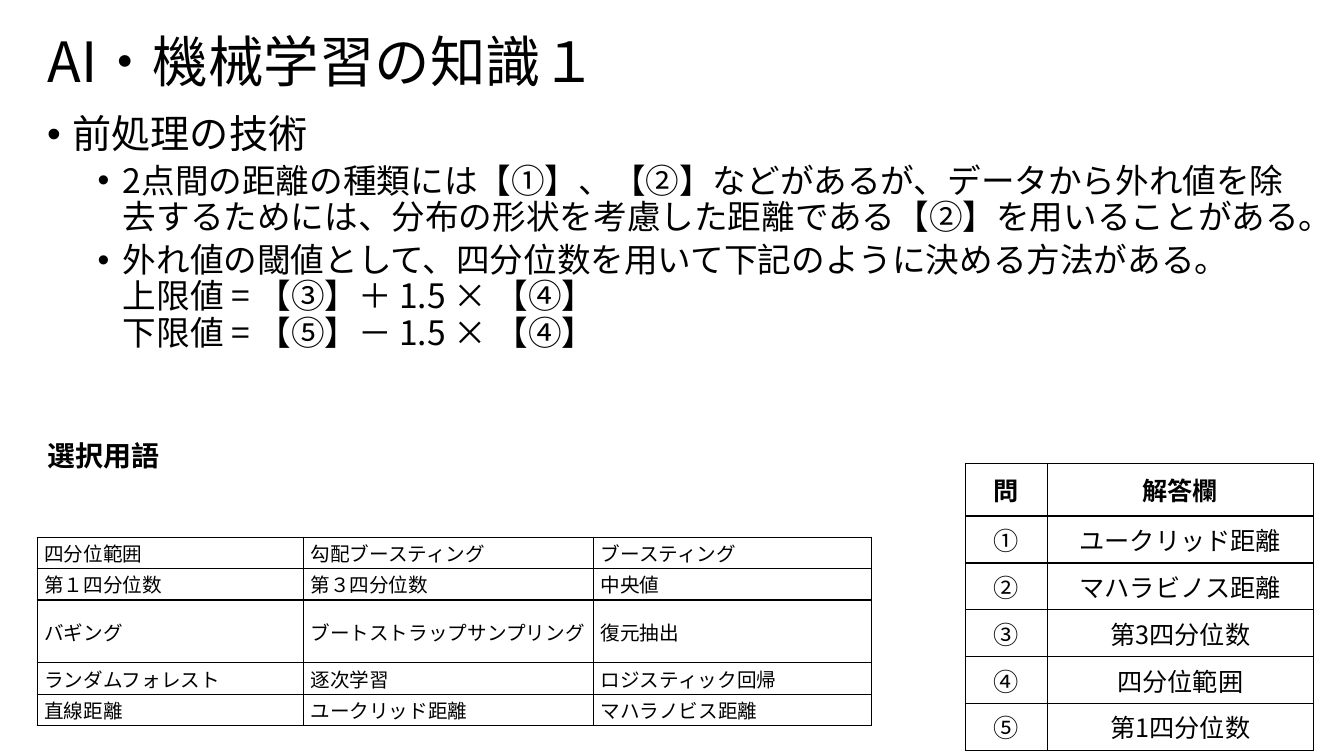
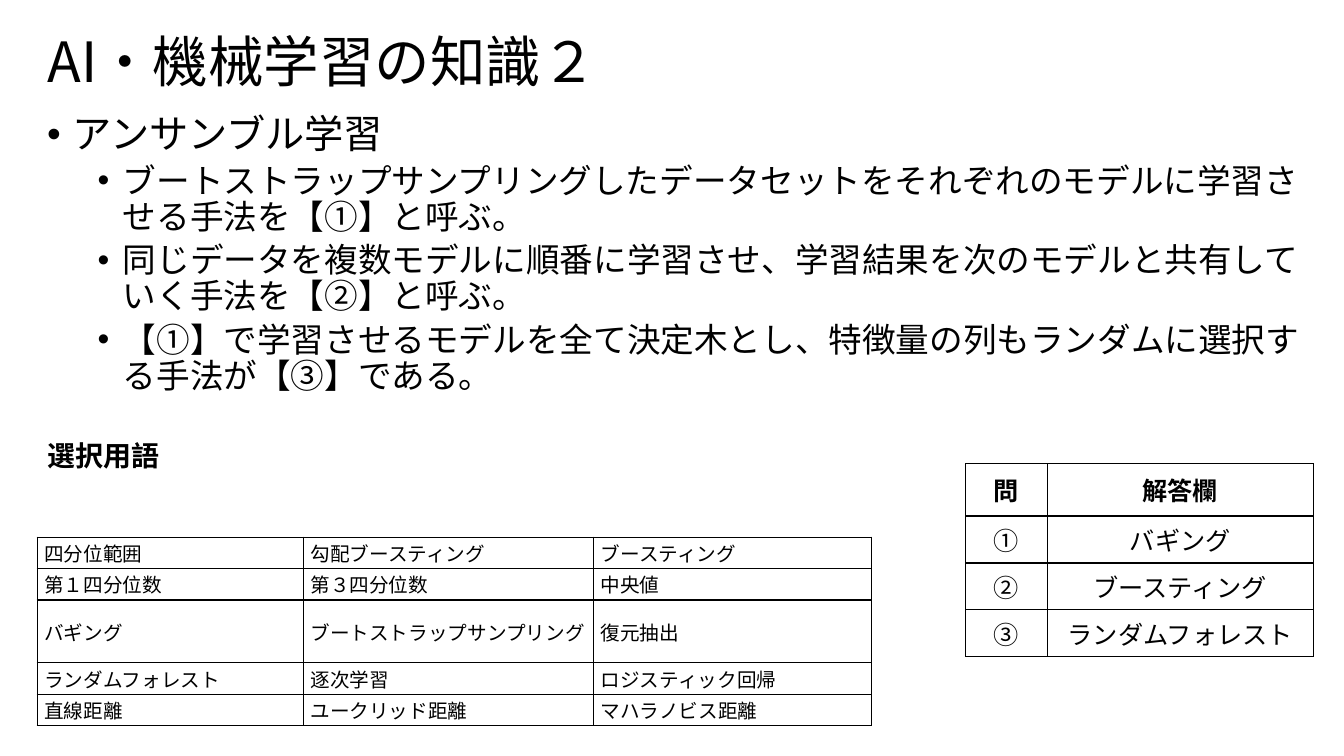
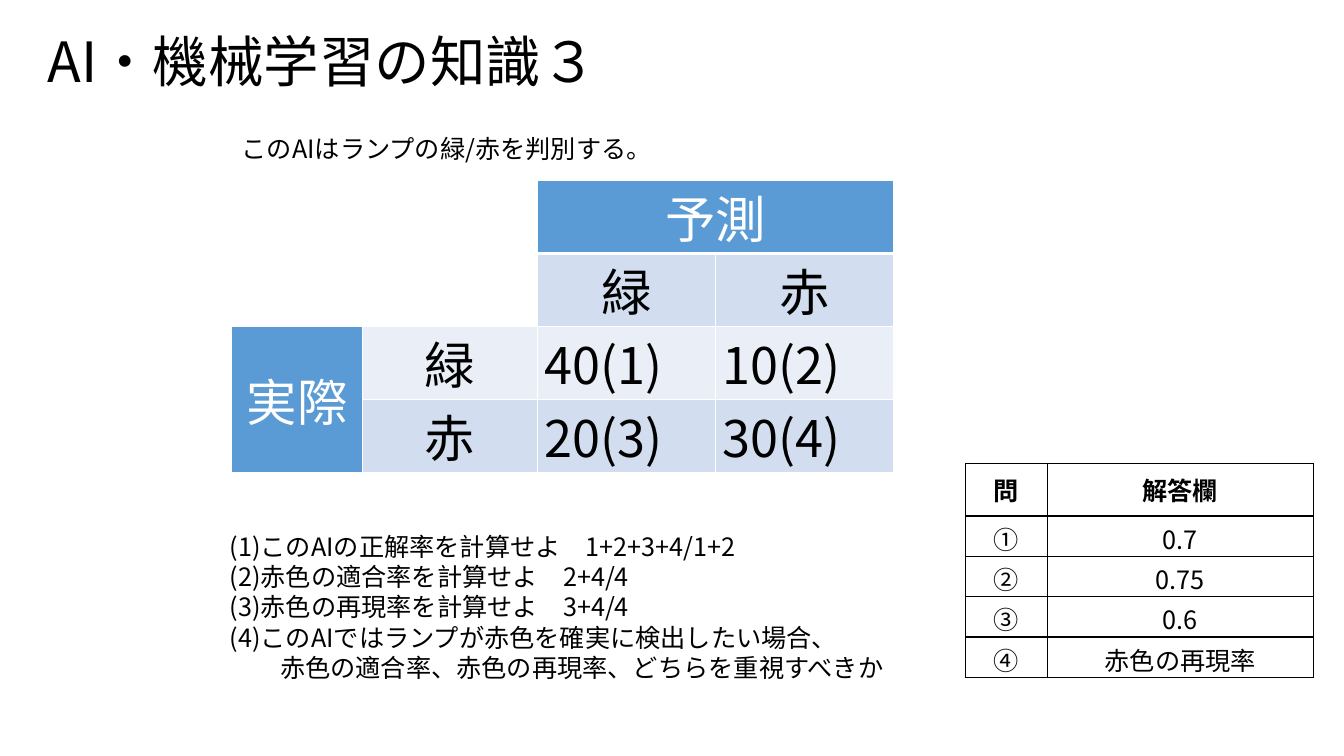
import dataclasses

import lxml.etree
import pptx
import pptx.dml.color
import pptx.enum.text
import pptx.oxml.ns
import pptx.util

ALIGN = pptx.enum.text.PP_ALIGN
ANCHOR = pptx.enum.text.MSO_ANCHOR
AUTO_SIZE = pptx.enum.text.MSO_AUTO_SIZE


@dataclasses.dataclass(frozen=True)
class Theme:
    """Colours, font and type sizes shared by the slides."""
    font: str = "Noto Sans CJK JP"
    ink: str = "000000"
    paper: str = "FFFFFF"
    heading: str = "5B9BD5"
    band: str = "D2DEEF"
    pale_band: str = "EAEFF7"
    title_size: float = 39.6
    matrix_size: float = 36
    topic_size: float = 28
    point_size: float = 24
    label_size: float = 20
    text_size: float = 18
    term_size: float = 14


class Deck:
    """Draws elements on the current slide, on a grid of 160 columns by 90 rows."""

    def __init__(self, theme):
        self.theme = theme
        self.presentation = pptx.Presentation()
        self.presentation.slide_width = pptx.util.Inches(13.33)
        self.presentation.slide_height = pptx.util.Inches(7.5)
        self.slide = None

    def across(self, columns):
        return round(self.presentation.slide_width * columns / 160)

    def down(self, rows):
        return round(self.presentation.slide_height * rows / 90)

    def box(self, left, top, width, height):
        return self.across(left), self.down(top), self.across(width), self.down(height)

    def element(self, parent, tag, **attributes):
        return lxml.etree.SubElement(parent, pptx.oxml.ns.qn(tag), attributes)

    def run(self, paragraph, text, size, color=None, bold=False):
        run = paragraph.add_run()
        run.text = text
        run.font.size = pptx.util.Pt(size)
        run.font.bold = bold
        run.font.name = self.theme.font
        run.font.color.rgb = pptx.dml.color.RGBColor.from_string(color or self.theme.ink)
        self.element(run.font._element, "a:ea", typeface=self.theme.font)

    def paragraph(self, frame, text, size, bold=False, before=0, spacing=1.0):
        paragraph = frame.paragraphs[0]
        if paragraph.runs:
            paragraph = frame.add_paragraph()
        paragraph.alignment = ALIGN.LEFT
        paragraph.line_spacing = spacing
        paragraph.space_before = pptx.util.Pt(before)
        for number, line in enumerate(text.split("\n")):
            if number:
                paragraph.add_line_break()
            self.run(paragraph, line, size, bold=bold)
        return paragraph

    def bullet(self, frame, text, level):
        size = self.theme.point_size if level else self.theme.topic_size
        paragraph = self.paragraph(frame, text, size, before=5 if level else 10, spacing=0.9)
        paragraph.level = level
        properties = paragraph._p.get_or_add_pPr()
        properties.set("marL", str(pptx.util.Inches(0.25 + 0.5 * level)))
        properties.set("indent", str(pptx.util.Inches(-0.25)))
        self.element(properties, "a:buFont", typeface="Arial")
        self.element(properties, "a:buChar", char="•")

    def start(self, title):
        layout = self.presentation.slide_layouts.get_by_name("Title Only")
        self.slide = self.presentation.slides.add_slide(layout)
        shape = self.slide.shapes.title
        shape.left, shape.top, shape.width, shape.height = self.box(4.44, 4.8, 138, 5.88)
        frame = shape.text_frame
        frame.vertical_anchor = ANCHOR.MIDDLE
        frame.auto_size = AUTO_SIZE.NONE
        frame.word_wrap = True
        self.paragraph(frame, title, self.theme.title_size, spacing=0.9)

    def frame(self, at, grow=False):
        frame = self.slide.shapes.add_textbox(*self.box(*at)).text_frame
        frame.word_wrap = True
        frame.auto_size = AUTO_SIZE.SHAPE_TO_FIT_TEXT if grow else AUTO_SIZE.NONE
        return frame

    def lesson(self, topic, points):
        frame = self.frame((4.44, 13.08, 151.8, 50.88))
        self.bullet(frame, topic, 0)
        for point in points:
            self.bullet(frame, point, 1)

    def label(self, text):
        frame = self.frame((4.44, 52.08, 19.92, 5.64))
        self.paragraph(frame, text, self.theme.label_size, bold=True, before=10, spacing=0.9)

    def note(self, at, lines):
        frame = self.frame(at, grow=True)
        for line in lines:
            self.paragraph(frame, line, self.theme.text_size)

    def border(self, cell, color, bottom=1):
        properties = cell._tc.get_or_add_tcPr()
        for index, side in enumerate(("L", "R", "T", "B")):
            width = pptx.util.Pt(bottom if side == "B" else 1)
            line = self.element(properties, f"a:ln{side}", w=str(width))
            fill = self.element(line, "a:solidFill")
            self.element(fill, "a:srgbClr", val=color)
            properties.insert(index, line)

    def table(self, left, top, columns, rows, line, first_bottom=1):
        at = self.box(left, top, sum(columns), sum(rows))
        table = self.slide.shapes.add_table(len(rows), len(columns), *at).table
        table.first_row = table.horz_banding = False
        for column, width in zip(table.columns, columns):
            column.width = self.across(width)
        for number, (row, height) in enumerate(zip(table.rows, rows)):
            row.height = self.down(height)
            for cell in row.cells:
                cell.fill.background()
                self.border(cell, line, 1 if number else first_bottom)
        return table

    def fill_cell(self, cell, text, size, color=None, bold=False, align=ALIGN.CENTER,
                  fill=None, margins=(0.07, 0)):
        side, edge = map(pptx.util.Inches, margins)
        cell.margin_left = cell.margin_right = side
        cell.margin_top = cell.margin_bottom = edge
        cell.vertical_anchor = ANCHOR.MIDDLE
        if fill:
            cell.fill.solid()
            cell.fill.fore_color.rgb = pptx.dml.color.RGBColor.from_string(fill)
        paragraph = cell.text_frame.paragraphs[0]
        paragraph.alignment = align
        self.run(paragraph, text, size, color, bold)

    def terms(self, rows):
        heights = [3.74, 3.74, 7.48, 3.74, 3.74]
        table = self.table(4.44, 63.96, [31.68, 34.56, 33.12], heights, self.theme.ink)
        for row, texts in zip(table.rows, rows):
            for cell, text in zip(row.cells, texts):
                self.fill_cell(cell, text, self.theme.term_size, align=ALIGN.LEFT)

    def answers(self, answers, tight=False):
        heights = [6.24] + [4.8 if tight else 5.58] * len(answers)
        table = self.table(114.96, 55.2, [9.72, 31.68], heights, self.theme.ink)
        rows = [("問", "解答欄")]
        rows += [(chr(ord("①") + number), answer) for number, answer in enumerate(answers)]
        for number, (row, texts) in enumerate(zip(table.rows, rows)):
            for cell, text in zip(row.cells, texts):
                self.fill_cell(cell, text, self.theme.text_size, bold=number == 0,
                               margins=(0.1, 0.05))
                if tight and number:
                    cell.margin_top = pptx.util.Inches(0.04)
                    cell.margin_bottom = 0

    def confusion_matrix(self, classes, counts):
        theme = self.theme
        size = theme.matrix_size
        table = self.table(27.6, 21.48, [15.6, 20.76, 21.24, 21.24], [8.28] * 4, theme.paper, 3)
        predicted, actual = table.cell(0, 2), table.cell(2, 0)
        predicted.merge(table.cell(0, 3))
        actual.merge(table.cell(3, 0))
        self.fill_cell(predicted, "予測", size, theme.paper, fill=theme.heading)
        self.fill_cell(actual, "実際", size, theme.paper, align=ALIGN.LEFT, fill=theme.heading)
        actual._tc.get_or_add_tcPr().set("vert", "eaVert")
        indent = pptx.util.Inches(0.08)
        actual.text_frame.paragraphs[0]._p.get_or_add_pPr().set("marL", str(indent))
        for number, (name, row) in enumerate(zip(classes, counts), start=2):
            fill = theme.band if number % 2 else theme.pale_band
            self.fill_cell(table.cell(1, number), name, size, fill=theme.band)
            self.fill_cell(table.cell(number, 1), name, size, fill=fill)
            for column, count in enumerate(row, start=2):
                self.fill_cell(table.cell(number, column), count, size, align=ALIGN.LEFT, fill=fill)


TERMS = [
    ("四分位範囲", "勾配ブースティング", "ブースティング"),
    ("第１四分位数", "第３四分位数", "中央値"),
    ("バギング", "ブートストラップサンプリング", "復元抽出"),
    ("ランダムフォレスト", "逐次学習", "ロジスティック回帰"),
    ("直線距離", "ユークリッド距離", "マハラノビス距離"),
]

LESSONS = [
    ("AI・機械学習の知識１", "前処理の技術", [
        "2点間の距離の種類には【①】、【②】などがあるが、データから外れ値を除去するためには、"
        "分布の形状を考慮した距離である【②】を用いることがある。",
        "外れ値の閾値として、四分位数を用いて下記のように決める方法がある。\n"
        "上限値 = 【③】＋ 1.5 × 【④】\n下限値 = 【⑤】－ 1.5 × 【④】",
    ], ["ユークリッド距離", "マハラビノス距離", "第3四分位数", "四分位範囲", "第1四分位数"]),
    ("AI・機械学習の知識２", "アンサンブル学習", [
        "ブートストラップサンプリングしたデータセットをそれぞれのモデルに学習させる手法を【①】と呼ぶ。",
        "同じデータを複数モデルに順番に学習させ、学習結果を次のモデルと共有していく手法を【②】と呼ぶ。",
        "【①】で学習させるモデルを全て決定木とし、特徴量の列もランダムに選択する手法が【③】である。",
    ], ["バギング", "ブースティング", "ランダムフォレスト"]),
]

deck = Deck(Theme())
for title, topic, points, answers in LESSONS:
    deck.start(title)
    deck.lesson(topic, points)
    deck.label("選択用語")
    deck.terms(TERMS)
    deck.answers(answers)

deck.start("AI・機械学習の知識３")
deck.confusion_matrix(["緑", "赤"], [("40(1)", "10(2)"), ("20(3)", "30(4)")])
deck.note((27.6, 15.24, 80.04, 4.8), ["このAIはランプの緑/赤を判別する。"])
deck.note((26.16, 62.64, 111.36, 19.44), [
    "(1)このAIの正解率を計算せよ　1+2+3+4/1+2",
    "(2)赤色の適合率を計算せよ　2+4/4",
    "(3)赤色の再現率を計算せよ　3+4/4",
    "(4)このAIではランプが赤色を確実に検出したい場合、",
    "　　赤色の適合率、赤色の再現率、どちらを重視すべきか",
])
deck.answers(["0.7", "0.75", "0.6", "赤色の再現率"], tight=True)
deck.presentation.save("out.pptx")
